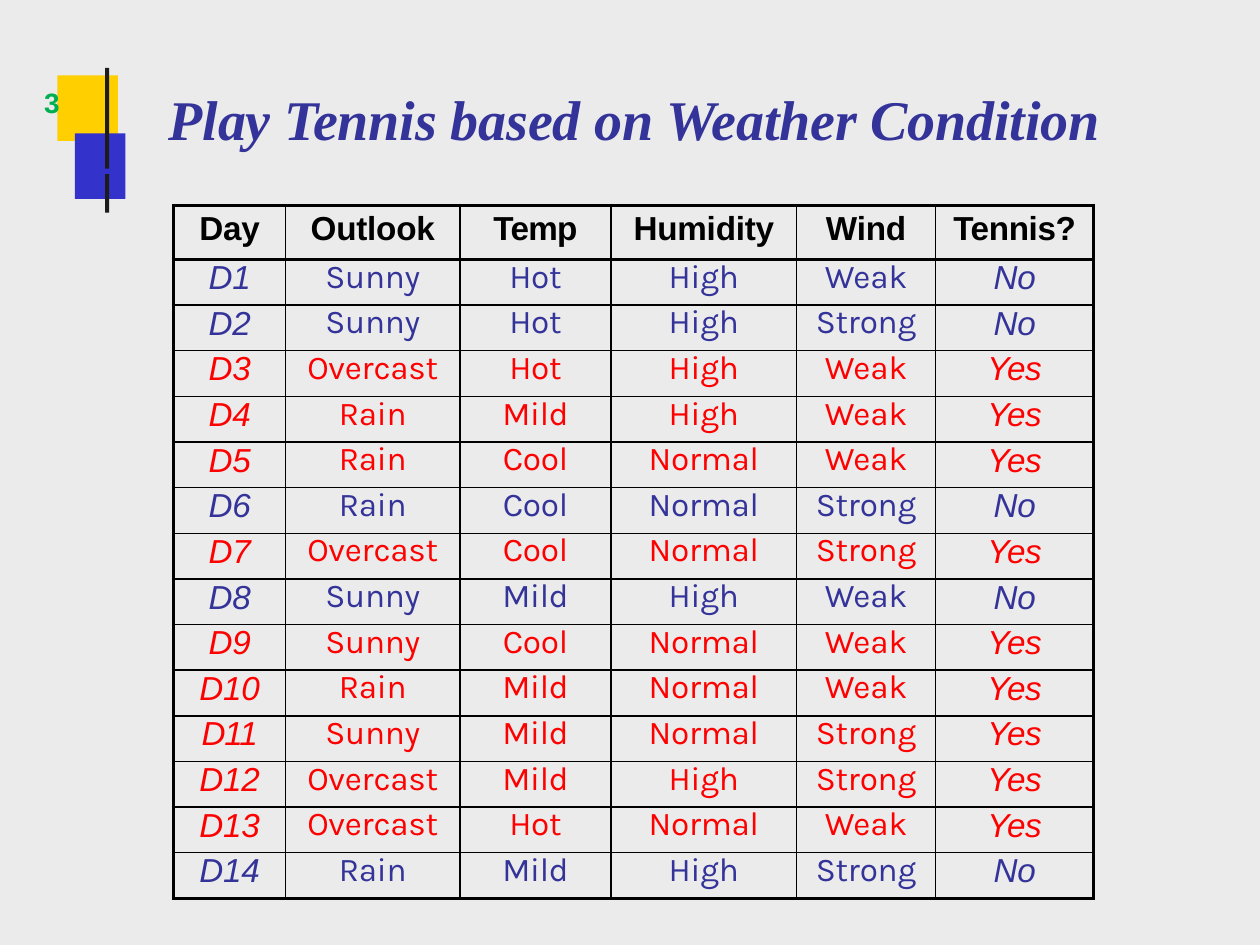
from lxml import etree
from pptx import Presentation
from pptx.dml.color import RGBColor
from pptx.enum.shapes import MSO_SHAPE
from pptx.enum.text import PP_ALIGN
from pptx.oxml import parse_xml
from pptx.util import Cm, Pt

RECTANGLE = MSO_SHAPE.RECTANGLE
CENTER = PP_ALIGN.CENTER
DRAWING = "http://schemas.openxmlformats.org/drawingml/2006/main"
GRAY, BLUE, RED, BLACK = "EBEBEB", "333399", "FF0000", "000000"
THIN, THICK = 1, 2.25


def color(hex_string):
    return RGBColor.from_string(hex_string)


def write(paragraph, text, font_name, size, hex_string, bold=False, italic=False, spacing=-0.1):
    run = paragraph.add_run()
    run.text = text
    run.font._element.set("spc", str(round(spacing * 100)))
    font = paragraph.font
    font.name, font.size = font_name, Pt(size)
    font.bold, font.italic = bold, italic
    font.color.rgb = color(hex_string)


presentation = Presentation()
presentation.slide_width, presentation.slide_height = Cm(25.4), Cm(19.05)
slide = presentation.slides.add_slide(presentation.slide_layouts[6])
slide.background.fill.solid()
slide.background.fill.fore_color.rgb = color(GRAY)

# Corner ornament: two squares and a broken vertical bar
for left, top, width, height, fill in [
    (1.16, 1.52, 1.22, 1.32, "FFCF00"),
    (1.51, 2.69, 1.02, 1.32, "3333CC"),
    (2.12, 1.37, 0.08, 2.03, "1C1C1C"),
    (2.12, 3.51, 0.08, 0.78, "1C1C1C"),
]:
    shape = slide.shapes.add_shape(RECTANGLE, Cm(left), Cm(top), Cm(width), Cm(height))
    shape.shadow.inherit = False
    shape.fill.solid()
    shape.fill.fore_color.rgb = color(fill)
    shape.line.fill.background()

# Title and slide number
for left, width, height, inset, text, font_name, size, fill, italic, spacing in [
    (3.4, 19.2, 1.42, 0.03, "Play Tennis based on Weather Condition",
     "Times New Roman", 32, BLUE, True, -0.1),
    (0.89, 0.38, 0.76, 0.05, "3", "Arial", 16, "00AF50", False, 0.1),
]:
    text_box = slide.shapes.add_textbox(Cm(left), Cm(1.68), Cm(width), Cm(height))
    frame = text_box.text_frame
    frame.word_wrap = True
    frame.margin_left = frame.margin_right = frame.margin_bottom = 0
    frame.margin_top = Cm(inset)
    paragraph = frame.paragraphs[0]
    paragraph.space_before = Pt(1)
    write(paragraph, text, font_name, size, fill, True, italic, spacing)

# Weather table
header = ["Day", "Outlook", "Temp", "Humidity", "Wind", "Tennis?"]
days = [
    ["Sunny", "Hot", "High", "Weak", "No"],
    ["Sunny", "Hot", "High", "Strong", "No"],
    ["Overcast", "Hot", "High", "Weak", "Yes"],
    ["Rain", "Mild", "High", "Weak", "Yes"],
    ["Rain", "Cool", "Normal", "Weak", "Yes"],
    ["Rain", "Cool", "Normal", "Strong", "No"],
    ["Overcast", "Cool", "Normal", "Strong", "Yes"],
    ["Sunny", "Mild", "High", "Weak", "No"],
    ["Sunny", "Cool", "Normal", "Weak", "Yes"],
    ["Rain", "Mild", "Normal", "Weak", "Yes"],
    ["Sunny", "Mild", "Normal", "Strong", "Yes"],
    ["Overcast", "Mild", "High", "Strong", "Yes"],
    ["Overcast", "Hot", "Normal", "Weak", "Yes"],
    ["Rain", "Mild", "High", "Strong", "No"],
]
rows = [header] + [[f"D{number}"] + day for number, day in enumerate(days, 1)]
column_widths = [2.26, 3.51, 3.05, 3.74, 2.8, 3.19]
row_heights = [1.09] + [0.92] * len(days)
tight_spacing = {"Temp": -0.4, "Tennis?": -0.2, "Yes": -0.3, "D11": -0.6, "Weak": 0}
last_row, last_column = len(rows) - 1, len(header) - 1

table = slide.shapes.add_table(
    len(rows), len(header), Cm(3.5), Cm(4.14), Cm(sum(column_widths)), Cm(sum(row_heights))
).table
for column, width in zip(table.columns, column_widths):
    column.width = Cm(width)
for row, height in zip(table.rows, row_heights):
    row.height = Cm(height)

for row_index, values in enumerate(rows):
    for column_index, text in enumerate(values):
        cell = table.cell(row_index, column_index)
        cell.margin_left = cell.margin_right = cell.margin_top = cell.margin_bottom = 0
        cell.fill.solid()
        cell.fill.fore_color.rgb = color(GRAY)
        paragraph = cell.text_frame.paragraphs[0]
        paragraph.alignment = CENTER
        spacing = tight_spacing.get(text, -0.1)
        if row_index == 0:
            cell.margin_top = Cm(0.1)
            paragraph.space_before = Pt(2.9)
            write(paragraph, text, "Arial", 19, BLACK, bold=True, spacing=spacing)
        else:
            paragraph.line_spacing = Pt(21.2)
            outer = column_index in (0, last_column)
            write(paragraph, text, "Arial" if outer else "Karla", 19,
                  RED if values[-1] == "Yes" else BLUE, italic=outer, spacing=spacing)

        # Thick frame and header rule, thin inner lines
        thick_sides = {
            "lnL": column_index == 0,
            "lnR": column_index == last_column,
            "lnT": row_index <= 1,
            "lnB": row_index in (0, last_row),
        }
        properties = cell._tc.get_or_add_tcPr()
        for position, (side, thick) in enumerate(thick_sides.items()):
            border = parse_xml(f'<a:{side} xmlns:a="{DRAWING}"/>')
            border.set("w", str(Pt(THICK if thick else THIN)))
            line_fill = etree.SubElement(border, f"{{{DRAWING}}}solidFill")
            etree.SubElement(line_fill, f"{{{DRAWING}}}srgbClr", val=BLACK)
            properties.insert(position, border)

presentation.save("out.pptx")
